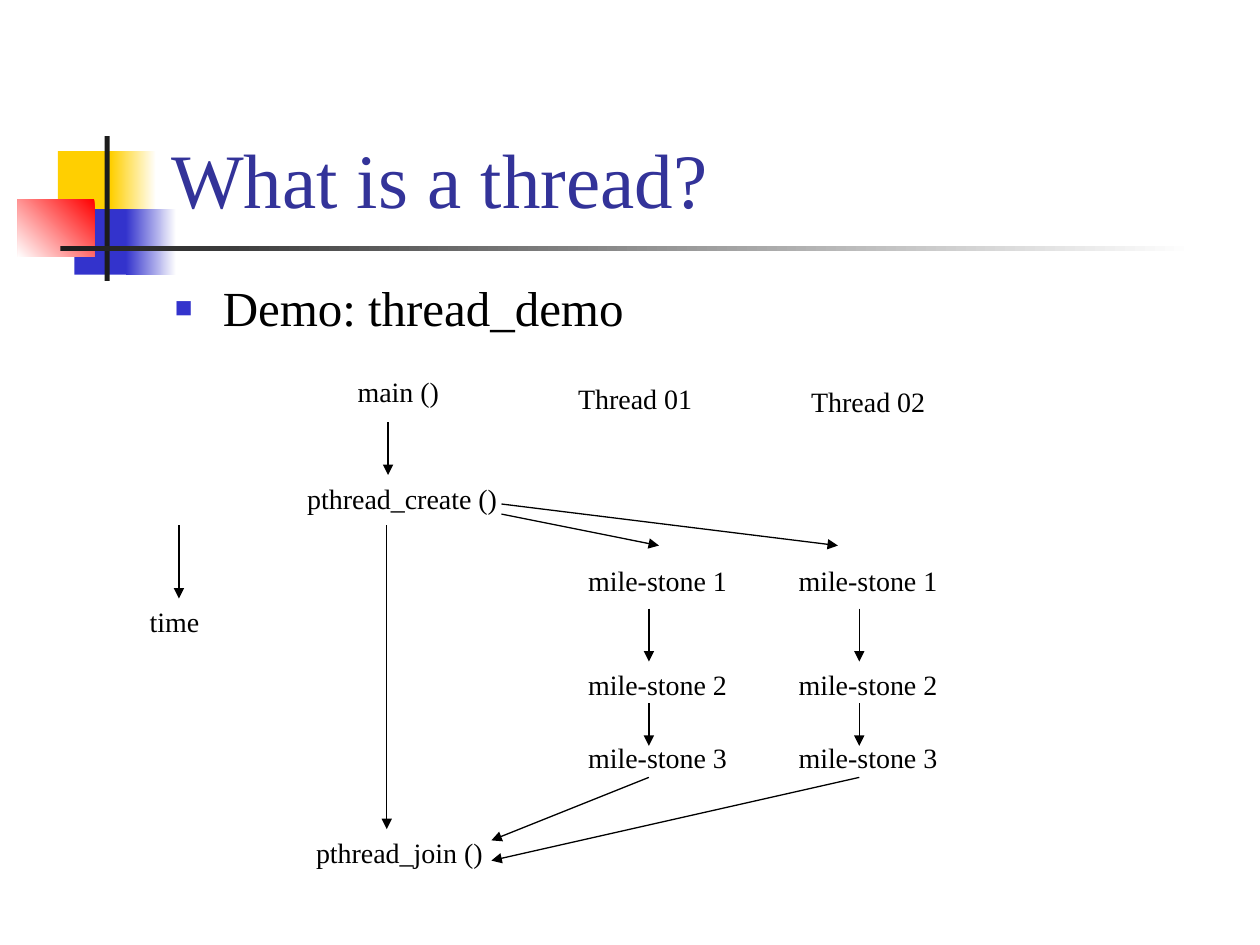
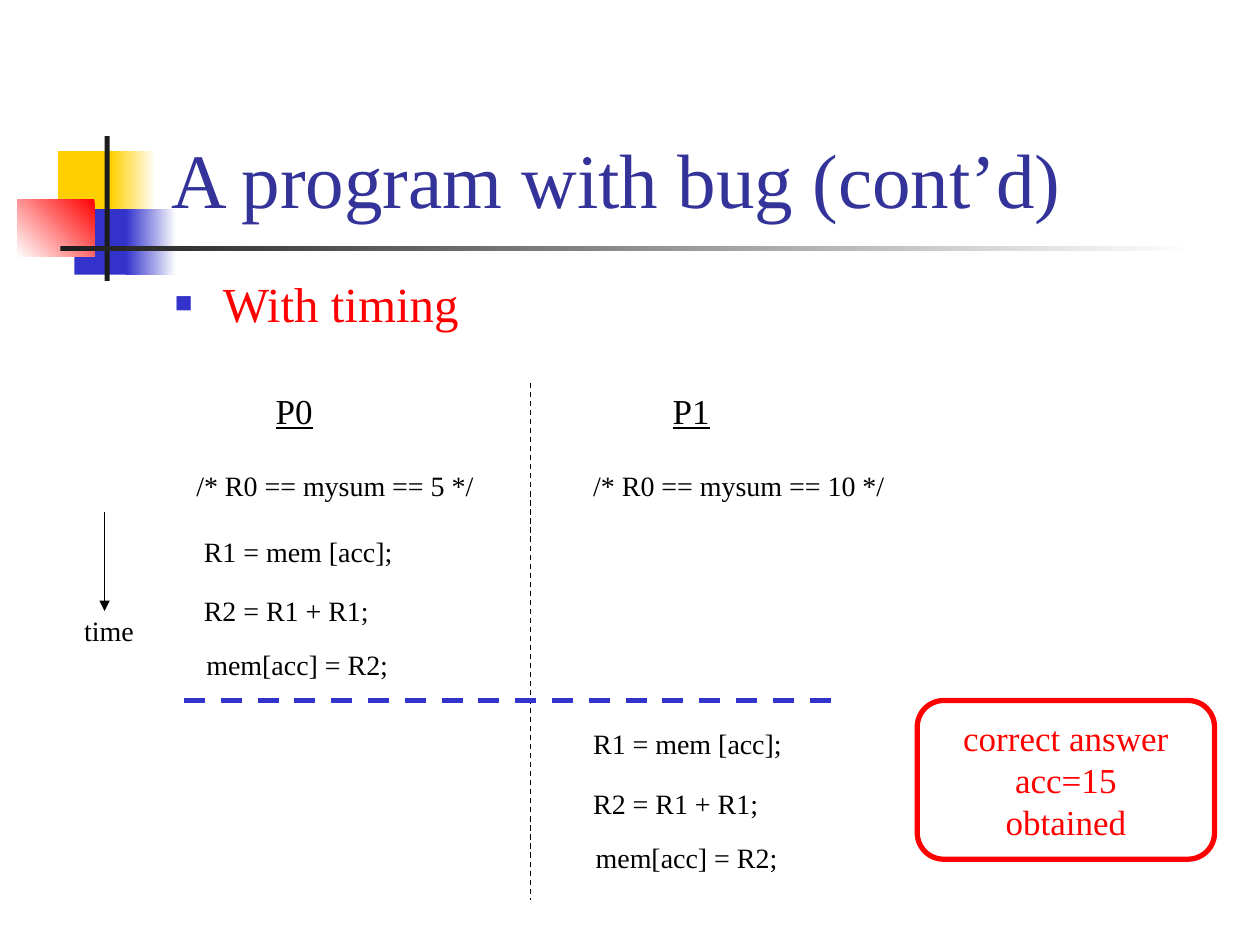
from lxml import etree
from pptx import Presentation
from pptx.dml.color import RGBColor
from pptx.enum.dml import MSO_LINE
from pptx.enum.shapes import MSO_CONNECTOR, MSO_SHAPE
from pptx.enum.text import MSO_ANCHOR, PP_ALIGN
from pptx.oxml.ns import qn
from pptx.util import Inches, Pt

STRAIGHT = MSO_CONNECTOR.STRAIGHT
RECTANGLE = MSO_SHAPE.RECTANGLE
ROUNDED = MSO_SHAPE.ROUNDED_RECTANGLE
DASH = MSO_LINE.DASH
BOTTOM, MIDDLE = MSO_ANCHOR.BOTTOM, MSO_ANCHOR.MIDDLE
CENTER = PP_ALIGN.CENTER

FONT = "Times New Roman"
BLACK, WHITE, DARK, RED = "000000", "FFFFFF", "1C1C1C", "FF0000"
BLUE, YELLOW, TITLE_BLUE = "3333CC", "FFCF01", "333399"
color = RGBColor.from_string


def add_text(page, text, left, top, width, height=0.37, size=16, ink=BLACK):
    box = page.shapes.add_textbox(Inches(left), Inches(top), Inches(width), Inches(height))
    box.text_frame.word_wrap = False
    span = box.text_frame.paragraphs[0].add_run()
    span.text = text
    span.font.name = FONT
    span.font.size = Pt(size)
    span.font.color.rgb = color(ink)
    return box


def add_line(page, x1, y1, x2, y2, ink=BLACK, weight=0.75, arrow=True):
    line = page.shapes.add_connector(STRAIGHT, Inches(x1), Inches(y1), Inches(x2), Inches(y2))
    line.line.color.rgb = color(ink)
    line.line.width = Pt(weight)
    if arrow:
        etree.SubElement(line.line._get_or_add_ln(), qn("a:tailEnd"), type="triangle")
    else:
        line.line.dash_style = DASH
    etree.SubElement(line._element.spPr, qn("a:effectLst"))


deck = Presentation()
deck.slide_width, deck.slide_height = Inches(10), Inches(7.5)

# Shared ornament: left, top, width, height, start colour, end colour, angle
ORNAMENT = [
    (0.46, 1.2, 0.48, 0.52, YELLOW, None, 0),
    (0.88, 1.2, 0.36, 0.52, YELLOW, WHITE, 0),
    (0.59, 1.66, 0.46, 0.52, BLUE, None, 0),
    (1, 1.66, 0.4, 0.52, BLUE, WHITE, 0),
    (0.14, 1.58, 0.61, 0.46, RED, WHITE, 225),
    (0.83, 1.08, 0.04, 1.15, DARK, None, 0),
    (0.48, 1.95, 9, 0.04, DARK, WHITE, 0),
]
# Title, bullet text, bullet colour, line spacing
HEADINGS = [
    ("What is a thread?", "Demo: thread_demo", BLACK, 0.9),
    ("A program with bug (cont’d)", "With timing", RED, 0.8),
]

# Ornament, title and bullet on each page
pages = []
for title, bullet, bullet_ink, spacing in HEADINGS:
    page = deck.slides.add_slide(deck.slide_layouts[6])
    pages.append(page)
    for left, top, width, height, start, end, angle in ORNAMENT:
        block = page.shapes.add_shape(
            RECTANGLE, Inches(left), Inches(top), Inches(width), Inches(height))
        block.shadow.inherit = False
        block.line.fill.background()
        if end:
            block.fill.gradient()
            block.fill.gradient_angle = angle
            for stop, ink in zip(block.fill.gradient_stops, (start, end)):
                stop.color.rgb = color(ink)
        else:
            block.fill.solid()
            block.fill.fore_color.rgb = color(start)

    title_box = add_text(page, title, 1.26, 0.23, 8.52, 1.6, 44, TITLE_BLUE)
    title_box.text_frame.word_wrap = True
    title_box.text_frame.vertical_anchor = BOTTOM

    bullet_box = add_text(page, bullet, 1.29, 2.21, 8.5, 0.54, 28, bullet_ink)
    bullet_box.text_frame.word_wrap = True
    para = bullet_box.text_frame.paragraphs[0]
    para.line_spacing = spacing
    props = para._p.get_or_add_pPr()
    props.set("marL", str(Inches(0.38)))
    props.set("indent", str(-Inches(0.38)))
    bullet_color = etree.SubElement(props, qn("a:buClr"))
    etree.SubElement(bullet_color, qn("a:srgbClr"), val=BLUE)
    etree.SubElement(props, qn("a:buSzPct"), val="60000")
    etree.SubElement(props, qn("a:buFont"), typeface=FONT)
    etree.SubElement(props, qn("a:buChar"), char="■")

thread_page, timing_page = pages

# Main thread and time axis
add_text(thread_page, "main ()", 2.74, 2.92, 0.88)
add_text(thread_page, "pthread_create ()", 2.34, 3.77, 1.74)
add_text(thread_page, "pthread_join ()", 2.41, 6.58, 1.55)
add_text(thread_page, "time", 1.09, 4.75, 0.63)
add_line(thread_page, 3.08, 3.35, 3.08, 3.77)
add_line(thread_page, 3.07, 4.17, 3.07, 6.58)
add_line(thread_page, 1.42, 4.17, 1.42, 4.75)

# Worker threads: name, name left and top, milestone left,
# start height and end of the create arrow, end height of the join arrow
WORKERS = [
    ("Thread 01", 4.49, 2.98, 4.57, 4.08, 5.23, 6.67),
    ("Thread 02", 6.34, 3, 6.24, 4, 6.65, 6.83),
]
for name, name_left, name_top, left, create_y, create_x, join_y in WORKERS:
    add_text(thread_page, name, name_left, name_top, 1.14)
    for number, top in enumerate((4.42, 5.25, 5.83), 1):
        add_text(thread_page, f"mile-stone {number}", left, top, 1.33)
    middle = left + 0.58
    add_line(thread_page, middle, 4.83, middle, 5.25)
    add_line(thread_page, middle, 5.58, middle, 5.92)
    add_line(thread_page, 3.98, create_y, create_x, 4.33)
    add_line(thread_page, middle, 6.17, 3.9, join_y)

# Processes: name, left, code left, value of mysum, top of the first instruction
PROCESSES = [("P0", 1.46, 1.52, 5, 4.19), ("P1", 4.61, 4.61, 10, 5.72)]
# Code, distance below the first instruction, shift to the right, width
INSTRUCTIONS = [
    ("R1 = mem [acc];", 0, 0, 1.73),
    ("R2 = R1 + R1;", 0.47, 0, 1.54),
    ("mem[acc] = R2;", 0.9, 0.02, 1.67),
]
for name, left, code_left, mysum, first_top in PROCESSES:
    name_box = add_text(timing_page, name, left + 0.63, 3.04, 0.53, 0.44, 20)
    name_box.text_frame.paragraphs[0].runs[0].font.underline = True
    add_text(timing_page, f"/* R0 == mysum == {mysum} */", left, 3.67, 2.55)
    for code, drop, shift, width in INSTRUCTIONS:
        add_text(timing_page, code, code_left + shift, first_top + drop, width)

# Dividers and time axis
add_line(timing_page, 4.21, 3.04, 4.21, 7.14, arrow=False)
add_line(timing_page, 1.46, 5.56, 6.65, 5.56, BLUE, 3, arrow=False)
add_line(timing_page, 0.83, 4.06, 0.83, 4.85)
add_text(timing_page, "time", 0.57, 4.82, 0.63)

# Result
result = timing_page.shapes.add_shape(
    ROUNDED, Inches(7.28), Inches(5.56), Inches(2.36), Inches(1.26))
result.shadow.inherit = False
result.fill.background()
result.line.color.rgb = color(RED)
result.line.width = Pt(3)
frame = result.text_frame
frame.word_wrap = False
frame.vertical_anchor = MIDDLE
for index, text in enumerate(("correct answer", "acc=15", "obtained")):
    para = frame.add_paragraph() if index else frame.paragraphs[0]
    para.alignment = CENTER
    span = para.add_run()
    span.text = text
    span.font.name = FONT
    span.font.size = Pt(20)
    span.font.color.rgb = color(RED)

deck.save("out.pptx")
